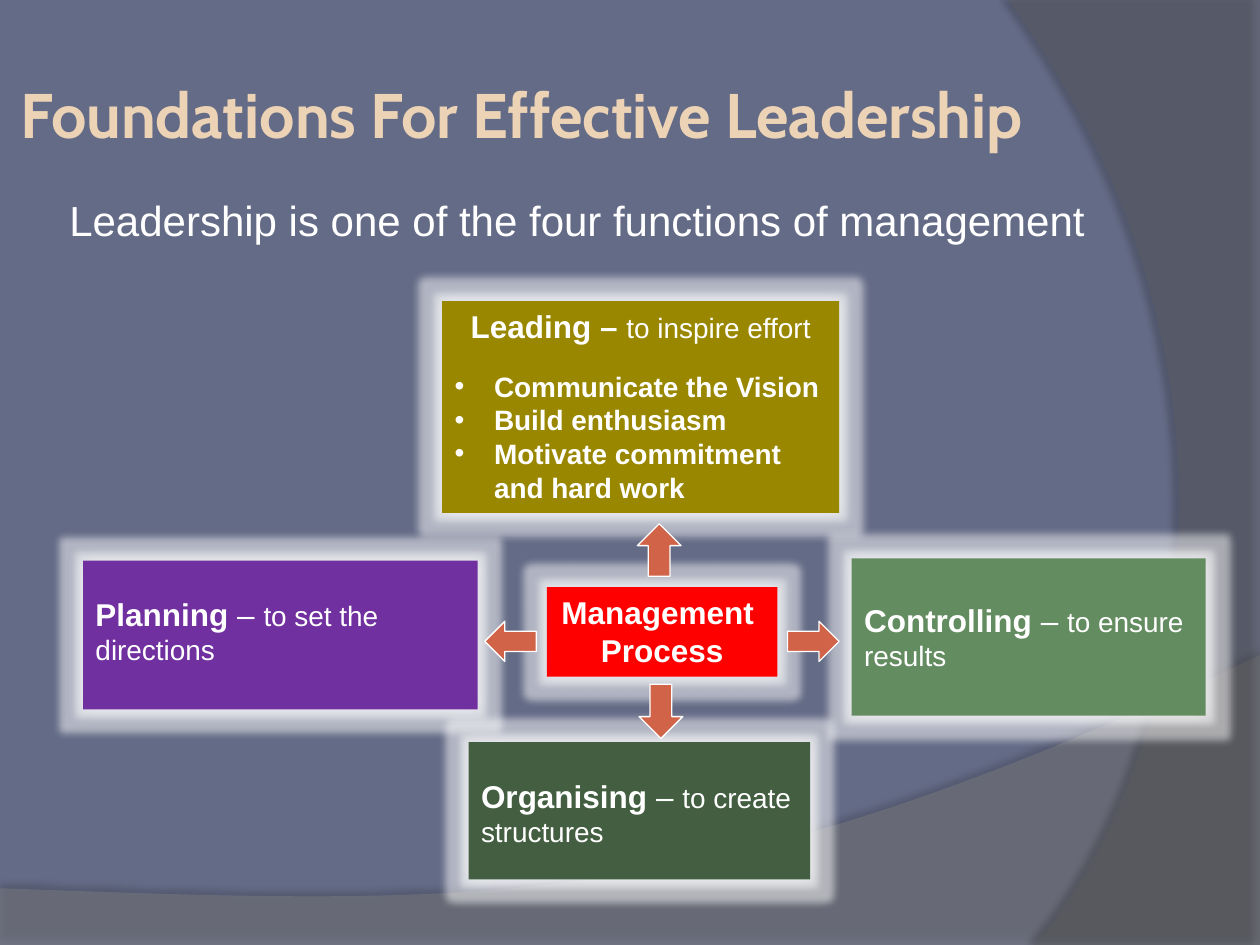
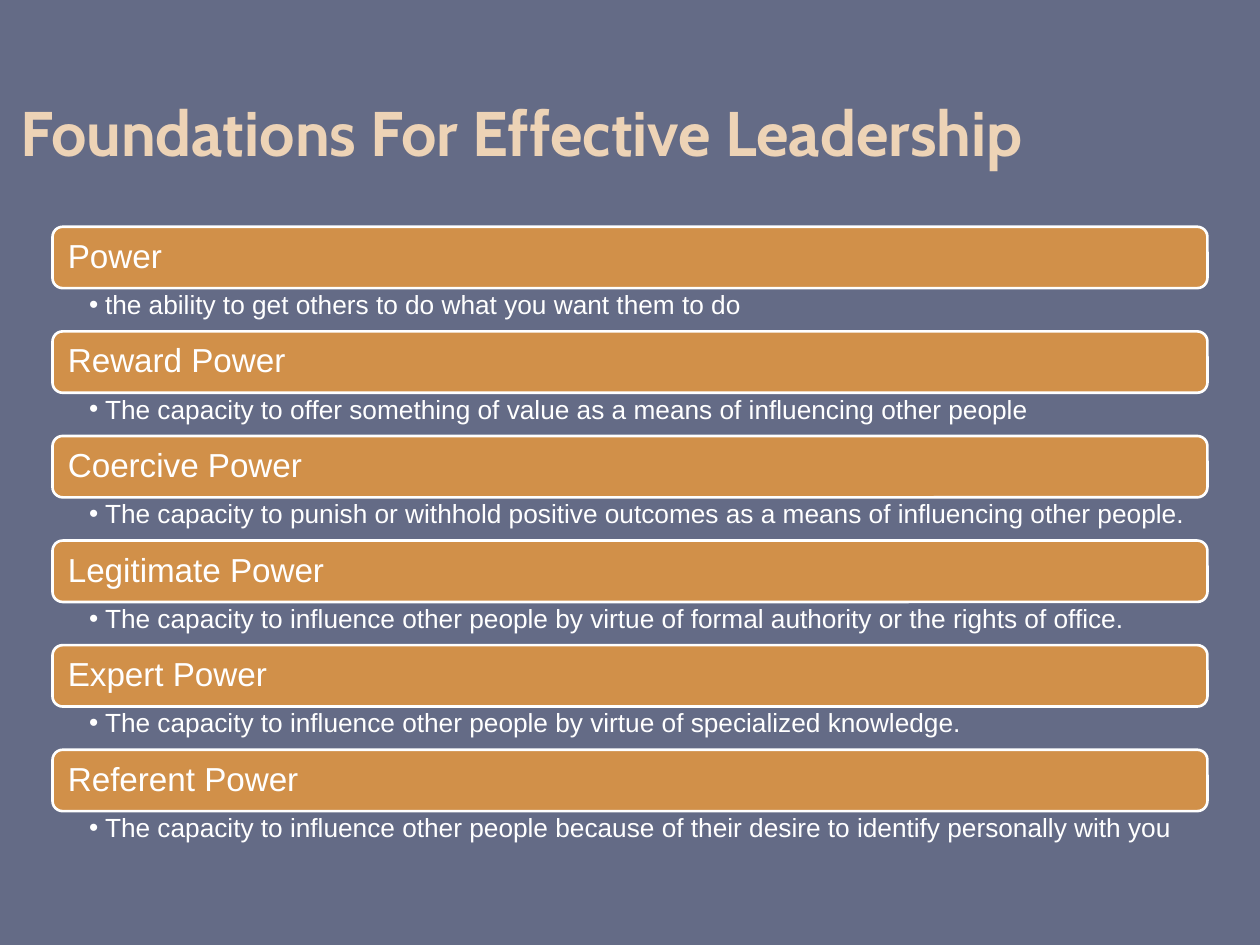
from typing import NamedTuple

from lxml.etree import SubElement
from pptx import Presentation
from pptx.dml.color import RGBColor
from pptx.enum.shapes import MSO_SHAPE
from pptx.enum.text import MSO_ANCHOR, MSO_AUTO_SIZE, PP_ALIGN
from pptx.oxml import parse_xml
from pptx.oxml.ns import nsdecls, qn
from pptx.util import Pt

# Shared look
WIDTH, HEIGHT = 720, 540
BACKGROUND, TITLE_COLOR, WHITE = "646B86", "EDD3B6", "FFFFFF"
ARROW_COLOR, BAR_COLOR = "D16349", "D19049"
BODY_FONT, TITLE_FONT = "Arial", "Cabin"
TITLE = "Foundations For Effective Leadership"


class Box(NamedTuple):
    left: float
    top: float
    width: float
    height: float


class Function(NamedTuple):
    name: str
    dash: str
    purpose: str
    color: str
    box: Box
    top_inset: float = 3.6
    align: PP_ALIGN = PP_ALIGN.LEFT
    tasks: tuple = ()


class Arrow(NamedTuple):
    kind: MSO_SHAPE
    box: Box


class Power(NamedTuple):
    name: str
    meaning: str


FUNCTIONS = [
    Function("Leading", " – ", "to inspire effort", "998700",
             Box(252.7, 172.1, 226.8, 121), align=PP_ALIGN.CENTER,
             tasks=("Communicate the Vision", "Build enthusiasm",
                    "Motivate commitment and hard work")),
    Function("Controlling", " – ", "to ensure results", "648C61",
             Box(486.7, 319, 202.3, 90), 24.3),
    Function("Organising", " – ", "to create structures", "435E40",
             Box(267.8, 424.1, 195.1, 78.5), 19.7),
    Function("Planning", " – ", "to set the directions", "7030A0",
             Box(47.5, 320.4, 225.4, 85), 19.7),
]
ARROWS = [
    Arrow(MSO_SHAPE.LEFT_ARROW, Box(277, 355, 29.5, 23)),
    Arrow(MSO_SHAPE.DOWN_ARROW, Box(365.2, 391, 25, 31)),
    Arrow(MSO_SHAPE.UP_ARROW, Box(364.2, 299.3, 25, 30)),
    Arrow(MSO_SHAPE.RIGHT_ARROW, Box(450, 355, 29.5, 23)),
]
POWERS = [
    Power("Power", "the ability to get others to do what you want them to do"),
    Power("Reward Power", "The capacity to offer something of value as a means "
          "of influencing other people"),
    Power("Coercive Power", "The capacity to punish or withhold positive outcomes "
          "as a means of influencing other people."),
    Power("Legitimate Power", "The capacity to influence other people by virtue "
          "of formal authority or the rights of office."),
    Power("Expert Power", "The capacity to influence other people by virtue "
          "of specialized knowledge."),
    Power("Referent Power", "The capacity to influence other people because "
          "of their desire to identify personally with you"),
]


def rgb(color: str) -> RGBColor:
    return RGBColor.from_string(color)


def add_text(paragraph, text: str, size: float = 16, bold: bool = False,
             color: str = WHITE, font: str = BODY_FONT) -> None:
    run = paragraph.add_run()
    run.text = text
    run.font.size, run.font.bold, run.font.name = Pt(size), bold, font
    run.font.color.rgb = rgb(color)


def set_frame(shape, insets=(7.2, 3.6, 7.2, 3.6), anchor=MSO_ANCHOR.TOP,
              align=PP_ALIGN.LEFT):
    """Format the text frame and return its first paragraph."""
    frame = shape.text_frame
    frame.word_wrap, frame.auto_size = True, MSO_AUTO_SIZE.NONE
    frame.vertical_anchor = anchor
    (frame.margin_left, frame.margin_top,
     frame.margin_right, frame.margin_bottom) = [Pt(inset) for inset in insets]
    paragraph = frame.paragraphs[0]
    paragraph.alignment, paragraph.space_before = align, Pt(0)
    return paragraph


def set_bullet(paragraph, indent: float, character: str = "") -> None:
    properties = paragraph._p.get_or_add_pPr()
    properties.set("marL", str(Pt(indent)))
    properties.set("indent", str(-Pt(indent)))
    if character:
        SubElement(properties, qn("a:buFont")).set("typeface", BODY_FONT)
        SubElement(properties, qn("a:buChar")).set("char", character)
    else:
        SubElement(properties, qn("a:buNone"))


def place(shape, box: Box) -> None:
    shape.left, shape.top, shape.width, shape.height = [Pt(length) for length in box]


def paint(shape, fill: str, line: str = "", line_width: float = 0.75) -> None:
    shape.shadow.inherit = False
    shape.fill.solid()
    shape.fill.fore_color.rgb = rgb(fill)
    if line:
        shape.line.color.rgb = rgb(line)
        shape.line.width = Pt(line_width)
    else:
        shape.line.fill.background()


def add_shape(slide, kind: MSO_SHAPE, box: Box, fill: str, line: str = "",
              line_width: float = 0.75):
    shape = slide.shapes.add_shape(kind, *[Pt(length) for length in box])
    paint(shape, fill, line, line_width)
    return shape


def color_xml(color: str, alpha: int) -> str:
    return f'<a:srgbClr val="{color}"><a:alpha val="{alpha * 1000}"/></a:srgbClr>'


def add_effects(shape, *effects: str) -> None:
    properties = shape.element.spPr
    old = properties.find(qn("a:effectLst"))
    properties.replace(old, parse_xml(
        f'<a:effectLst {nsdecls("a")}>{"".join(effects)}</a:effectLst>'))


def shadow_xml(color: str, alpha: int, blur: float, distance: float = 0,
               angle: int = 0) -> str:
    return (f'<a:outerShdw blurRad="{Pt(blur)}" dist="{Pt(distance)}" '
            f'dir="{angle * 60000}" algn="ctr" rotWithShape="0">'
            f'{color_xml(color, alpha)}</a:outerShdw>')


def add_glow(shape) -> None:
    glow = f'<a:glow rad="{Pt(9)}">{color_xml(WHITE, 50)}</a:glow>'
    add_effects(shape, glow, shadow_xml(WHITE, 60, 8))


def curve(*controls, steps: int = 40) -> list:
    """Points along a cubic Bezier curve."""
    points = []
    for step in range(steps + 1):
        t = step / steps
        weights = ((1 - t) ** 3, 3 * t * (1 - t) ** 2, 3 * t * t * (1 - t), t ** 3)
        points.append(tuple(sum(weight * control[axis] for weight, control
                                in zip(weights, controls)) for axis in (0, 1)))
    return points


def add_swoosh(slide, points: list, color: str, alpha: int, shadow: str,
               layer: int) -> None:
    start, *rest = [(Pt(x), Pt(y)) for x, y in points]
    builder = slide.shapes.build_freeform(*start, scale=1.0)
    builder.add_line_segments(rest, close=True)
    shape = builder.convert_to_shape()
    paint(shape, color)
    fill_color = shape.element.spPr.find(qn("a:solidFill"))[0]
    SubElement(fill_color, qn("a:alpha")).set("val", str(alpha * 1000))
    add_effects(shape, shadow)
    # Behind the placeholders
    shape.element.getparent().insert(2 + layer, shape.element)


def add_slide(presentation, layout: int, title_top: float):
    slide = presentation.slides.add_slide(presentation.slide_layouts[layout])
    slide.background.fill.solid()
    slide.background.fill.fore_color.rgb = rgb(BACKGROUND)
    title = slide.shapes.title
    place(title, Box(0, title_top, 703.5, 72))
    paragraph = set_frame(title, (11.5, 3.6, 3.6, 3.6), MSO_ANCHOR.MIDDLE)
    add_text(paragraph, TITLE, size=36, bold=True, color=TITLE_COLOR, font=TITLE_FONT)
    return slide


def add_function(slide, function: Function) -> None:
    shape = add_shape(slide, MSO_SHAPE.RECTANGLE, function.box, function.color)
    add_glow(shape)
    paragraph = set_frame(shape, (7.2, function.top_inset, 7.2, 3.6),
                          align=function.align)
    add_text(paragraph, function.name, size=18, bold=True)
    add_text(paragraph, function.dash, size=18, bold=bool(function.tasks))
    add_text(paragraph, function.purpose)
    for index, task in enumerate(function.tasks):
        paragraph = shape.text_frame.add_paragraph()
        paragraph.alignment = PP_ALIGN.LEFT
        paragraph.space_before = Pt(0 if index else 13.8)
        set_bullet(paragraph, 22.5, "•")
        add_text(paragraph, task, bold=True)


def build_management_slide(presentation) -> None:
    slide = add_slide(presentation, 1, 28.5)
    # Background swooshes
    bottom_curve = curve((WIDTH, 374.4), (402.5, 524.9), (281.5, 517.7), (0, 507.6))
    add_swoosh(slide, [(0, HEIGHT), (WIDTH, HEIGHT), *bottom_curve], "7F7F7F", 45,
               shadow_xml("000000", 35, 4, 3.5, 270), 0)
    right_curve = curve((591.1, HEIGHT), (673.2, 445.7), (733, 216), (576, 0))
    add_swoosh(slide, [(WIDTH, 0), (WIDTH, HEIGHT), *right_curve], "5E5E5E", 40,
               shadow_xml("000000", 45, 4, 4, 180), 1)
    # Lead sentence
    body = slide.placeholders[1]
    place(body, Box(32.4, 107.3, 686.9, 85))
    paragraph = set_frame(body)
    set_bullet(paragraph, 0)
    add_text(paragraph, "Leadership is one of the four functions of management", size=24)
    # Process box, its four functions and the arrows to them
    center = add_shape(slide, MSO_SHAPE.RECTANGLE, Box(312.5, 335.5, 131.8, 51.1), "FF0000")
    add_glow(center)
    paragraph = set_frame(center, align=PP_ALIGN.CENTER)
    add_text(paragraph, "Management ", size=18, bold=True)
    paragraph = center.text_frame.add_paragraph()
    paragraph.alignment = PP_ALIGN.CENTER
    add_text(paragraph, "Process", size=18, bold=True)
    for function in FUNCTIONS:
        add_function(slide, function)
    for arrow in ARROWS:
        add_shape(slide, arrow.kind, arrow.box, ARROW_COLOR, WHITE)


def build_power_slide(presentation) -> None:
    slide = add_slide(presentation, 5, 39.3)
    left, first_top, width, pitch, bar_height = 30, 129.6, 660, 59.77, 35.1
    for index, power in enumerate(POWERS):
        top = first_top + index * pitch
        # Bar with the kind of power
        bar = add_shape(slide, MSO_SHAPE.ROUNDED_RECTANGLE,
                        Box(left, top, width, bar_height), BAR_COLOR, WHITE, 1.5)
        paragraph = set_frame(bar, (7.2, 5.8, 7.2, 5.8), MSO_ANCHOR.MIDDLE)
        paragraph.line_spacing = 0.9
        add_text(paragraph, power.name, size=19)
        # Its meaning below
        meaning = slide.shapes.add_textbox(Pt(left), Pt(top + bar_height),
                                           Pt(width), Pt(24.3))
        paragraph = set_frame(meaning, (21, 2, 10.8, 2))
        paragraph.line_spacing = 0.9
        set_bullet(paragraph, 9, "•")
        add_text(paragraph, power.meaning, size=15)


def main() -> None:
    presentation = Presentation()
    presentation.slide_width, presentation.slide_height = Pt(WIDTH), Pt(HEIGHT)
    build_management_slide(presentation)
    build_power_slide(presentation)
    presentation.save("out.pptx")


if __name__ == "__main__":
    main()
